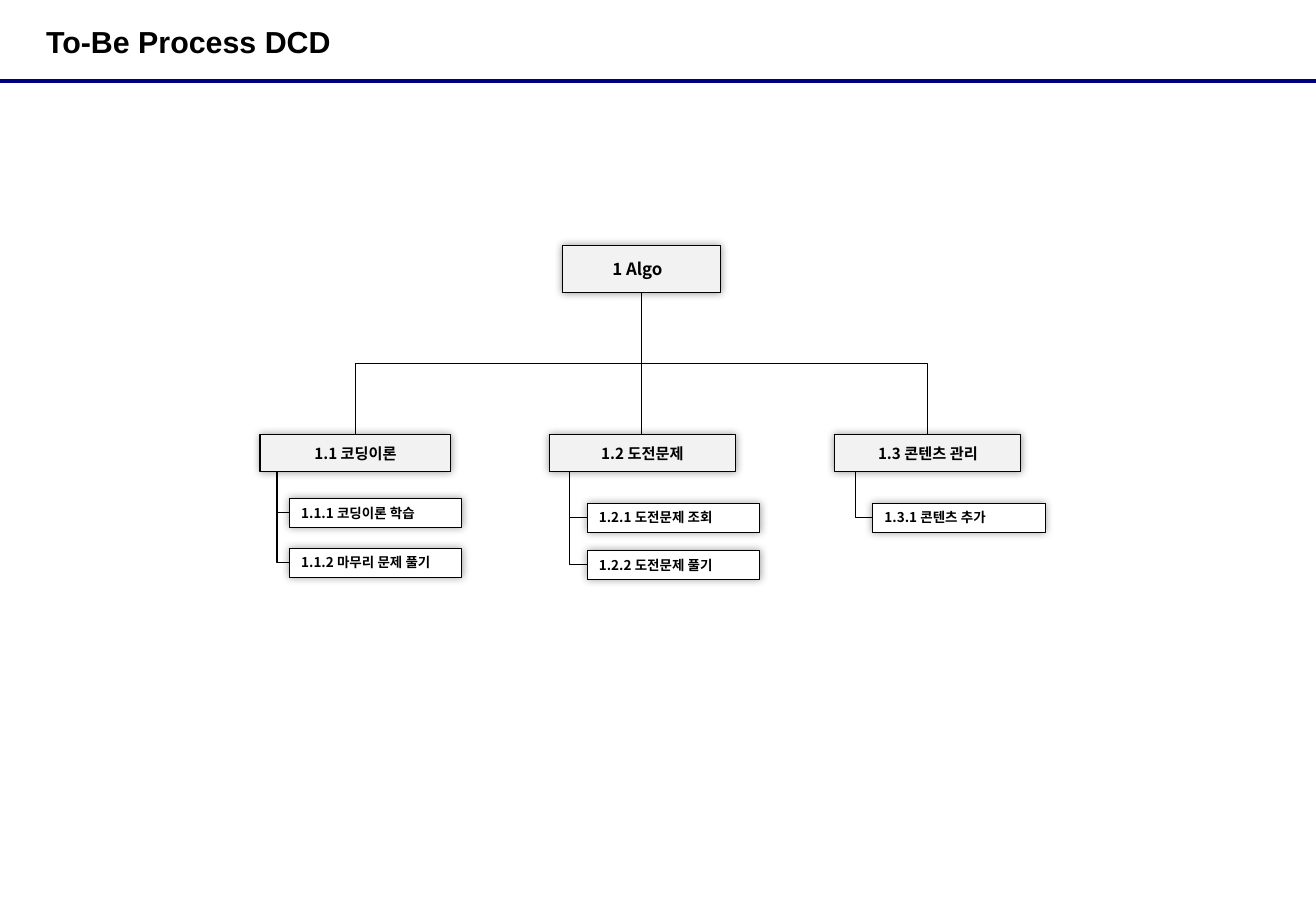
import dataclasses

import lxml.etree
import pptx
import pptx.dml.color
import pptx.enum.shapes
import pptx.enum.text
import pptx.oxml.ns
import pptx.util

WIDTH, HEIGHT = 10.83, 7.5
qn = pptx.oxml.ns.qn


@dataclasses.dataclass(frozen=True)
class Theme:
    ink: str = "000000"
    rule: str = "000080"
    node: str = "F2F2F2"
    leaf: str = "FFFFFF"
    title_font: str = "Arial"
    tree_font: str = "Noto Sans CJK KR"
    title_size: int = 18
    root_size: int = 10
    branch_size: int = 9
    leaf_size: int = 8


THEME = Theme()

# Tree positions: the slide is a grid of 100 columns by 100 rows
ROOT = (42.75, 26.93, 12, 5.2)
BRANCH_TOP, BRANCH_H = 47.73, 4
LEAF_W, LEAF_H = 13.11, 3.2
COLUMN_STEP = 21.7


@dataclasses.dataclass(frozen=True)
class Branch:
    label: str
    leaves: tuple
    left: float
    width: float = 14.13
    spine: float = 1.56      # offset of the vertical line from the left
    indent: float = 2.86     # offset of the leaves from the left
    leaf_top: float = 55.2
    leaf_step: float = 5.2


BRANCHES = (
    Branch("1.1 코딩이론", ("1.1.1 코딩이론 학습", "1.1.2 마무리 문제 풀기"),
           19.76, 14.5, 1.29, 2.22, 54.67, 5.47),
    Branch("1.2 도전문제", ("1.2.1 도전문제 조회", "1.2.2 도전문제 풀기"), 41.74),
    Branch("1.3 콘텐츠 관리", ("1.3.1 콘텐츠 추가",), 41.74 + COLUMN_STEP),
)


def col(n):
    return pptx.util.Inches(WIDTH * n / 100)


def row(n):
    return pptx.util.Inches(HEIGHT * n / 100)


def rgb(code):
    return pptx.dml.color.RGBColor.from_string(code)


def add_run(p, text, font, size):
    r = p.add_run()
    r.text = text
    r.font.name, r.font.size, r.font.bold = font, pptx.util.Pt(size), True
    r.font.color.rgb = rgb(THEME.ink)
    ea = lxml.etree.SubElement(r.font._element, qn("a:ea"))
    ea.set("typeface", font)


def add_glow_shadow(sp):
    """Soft shadow spread evenly around the box."""
    sp.shadow.inherit = False
    effects = sp._element.spPr.find(qn("a:effectLst"))
    shadow = lxml.etree.SubElement(effects, qn("a:outerShdw"),
                                   blurRad=str(pptx.util.Pt(5)), algn="ctr", rotWithShape="0")
    color = lxml.etree.SubElement(shadow, qn("a:srgbClr"), val=THEME.ink)
    lxml.etree.SubElement(color, qn("a:alpha"), val="40000")


def add_box(s, box, text, size, fill, weight, align):
    left, top, width, height = box
    sp = s.shapes.add_shape(pptx.enum.shapes.MSO_SHAPE.RECTANGLE,
                            col(left), row(top), col(width), row(height))
    sp.fill.solid()
    sp.fill.fore_color.rgb = rgb(fill)
    sp.line.color.rgb = rgb(THEME.ink)
    sp.line.width = pptx.util.Pt(weight)
    add_glow_shadow(sp)
    tf = sp.text_frame
    tf.word_wrap = True
    tf.vertical_anchor = pptx.enum.text.MSO_ANCHOR.MIDDLE
    p = tf.paragraphs[0]
    p.alignment = align
    add_run(p, text, THEME.tree_font, size)
    return sp


def add_line(s, start, end, color, weight, kind=pptx.enum.shapes.MSO_CONNECTOR.STRAIGHT):
    line = s.shapes.add_connector(kind, *start, *end)
    line.line.color.rgb = rgb(color)
    line.line.width = pptx.util.Pt(weight)
    lxml.etree.SubElement(line._element.spPr, qn("a:effectLst"))
    return line


def add_elbow(s, start, end, preset):
    """Bent connector that leaves downwards: a turned box with swapped sides."""
    (x1, y1), (x2, y2) = start, end
    length, reach = y2 - y1, abs(x2 - x1)
    left, top = (x1 + x2 - length) // 2, (y1 + y2 - reach) // 2
    near, far = left, left + length
    turn = 90
    if x2 > x1:
        near, far, turn = far, near, 270
    line = add_line(s, (near, top), (far, top + reach), THEME.ink, 0.75,
                    pptx.enum.shapes.MSO_CONNECTOR.ELBOW)
    spPr = line._element.spPr
    spPr.find(qn("a:xfrm")).set("rot", str(turn * 60000))
    spPr.find(qn("a:prstGeom")).set("prst", preset)


def add_title(s, text):
    sp = s.shapes.title
    sp.left, sp.top, sp.width, sp.height = col(3.5), 0, col(65.4), row(9.07)
    tf = sp.text_frame
    tf.margin_left = tf.margin_top = tf.margin_right = tf.margin_bottom = 0
    tf.auto_size = pptx.enum.text.MSO_AUTO_SIZE.NONE
    tf.vertical_anchor = pptx.enum.text.MSO_ANCHOR.MIDDLE
    p = tf.paragraphs[0]
    p.alignment = pptx.enum.text.PP_ALIGN.LEFT
    add_run(p, text, THEME.title_font, THEME.title_size)


def add_branch(s, branch, root_foot):
    align = pptx.enum.text.PP_ALIGN
    center = branch.left + branch.width / 2
    # Line from the root
    if abs(center - ROOT[0] - ROOT[2] / 2) < 0.1:
        add_line(s, root_foot, (root_foot[0], row(BRANCH_TOP)), THEME.ink, 0.75)
    else:
        add_elbow(s, root_foot, (col(center), row(BRANCH_TOP)), "bentConnector3")
    add_box(s, (branch.left, BRANCH_TOP, branch.width, BRANCH_H), branch.label,
            THEME.branch_size, THEME.node, 0.75, align.CENTER)
    # Leaves, each hung from the spine
    spine = (col(branch.left + branch.spine), row(BRANCH_TOP + BRANCH_H))
    left = branch.left + branch.indent
    for i, label in enumerate(branch.leaves):
        top = branch.leaf_top + i * branch.leaf_step
        add_box(s, (left, top, LEAF_W, LEAF_H), label,
                THEME.leaf_size, THEME.leaf, 0.25, align.LEFT)
        add_elbow(s, spine, (col(left), row(top + LEAF_H / 2)), "bentConnector2")


def main():
    prs = pptx.Presentation()
    prs.slide_width, prs.slide_height = col(100), row(100)
    s = prs.slides.add_slide(prs.slide_layouts[5])

    # Heading
    add_line(s, (0, row(8.93)), (col(100), row(8.93)), THEME.rule, 2.25)
    add_title(s, "To-Be Process DCD")

    # Process tree
    root = add_box(s, ROOT, "1 Algo", THEME.root_size, THEME.node, 0.75,
                   pptx.enum.text.PP_ALIGN.CENTER)
    root.text_frame.margin_left = pptx.util.Inches(0.03)
    root_foot = (root.left + root.width // 2, root.top + root.height)
    for branch in BRANCHES:
        add_branch(s, branch, root_foot)

    prs.save("out.pptx")


if __name__ == "__main__":
    main()
